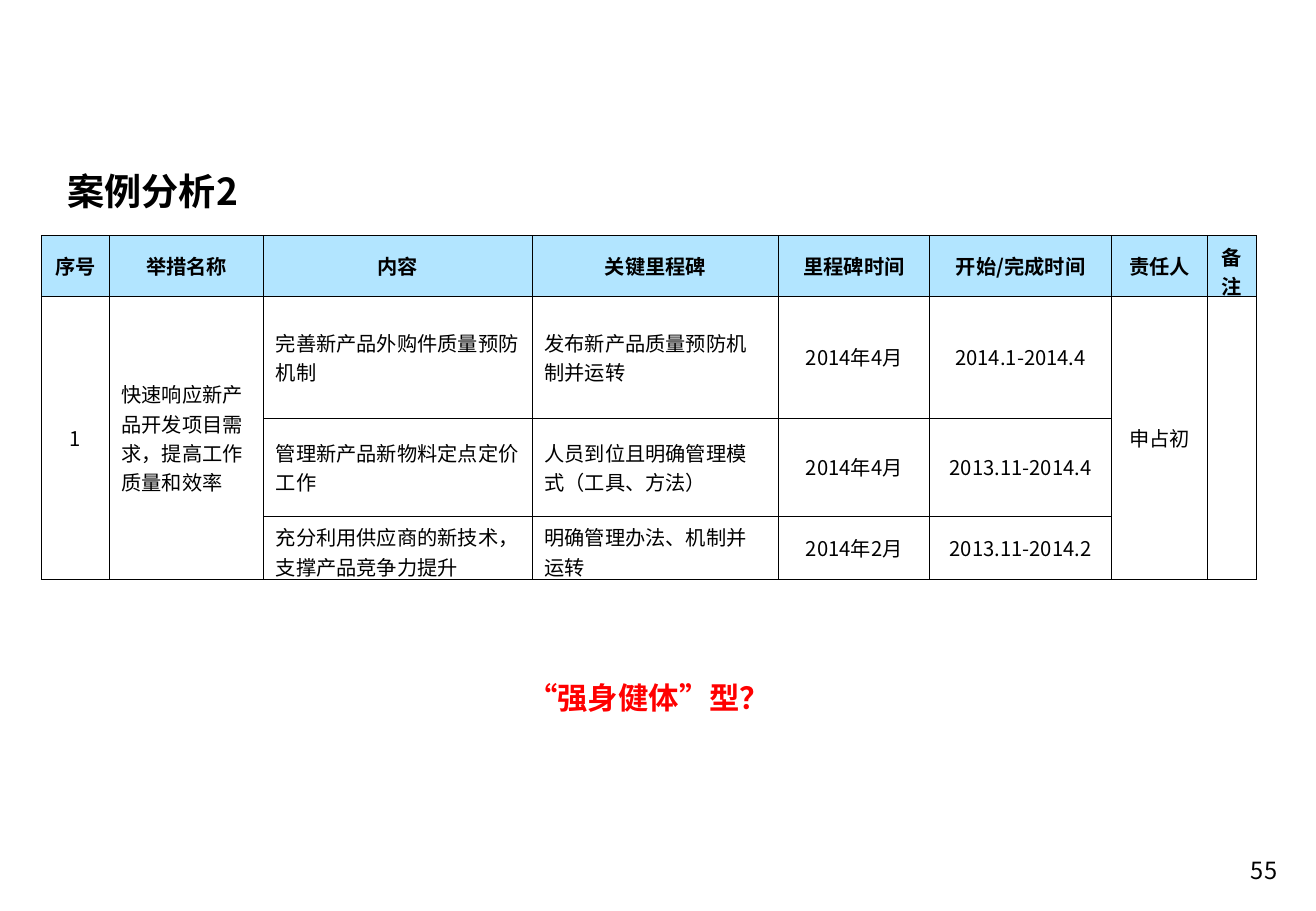
from lxml import etree
from pptx import Presentation, util as u
from pptx.dml.color import RGBColor
from pptx.enum import text
from pptx.oxml.ns import qn

PX = 9144  # EMU in one px, 100 px to the inch
FONT = "Noto Sans CJK SC"
COLORS = {"ink": "000000", "header": "66CCFF", "question": "FF0000"}
LEFT, CENTER, RIGHT = text.PP_ALIGN.LEFT, text.PP_ALIGN.CENTER, text.PP_ALIGN.RIGHT

COLUMN_WIDTHS = [56, 127, 221, 203, 124, 150, 79, 40]
ROW_HEIGHTS = [50, 100, 81, 52]
SPANNING_COLUMNS = (0, 1, 6, 7)  # one cell for all three measures
LEFT_COLUMNS = (1, 2, 3)
PLAN = [
    ["序号", "举措名称", "内容", "关键里程碑", "里程碑时间", "开始/完成时间", "责任人", "备注"],
    ["1", "快速响应新产品开发项目需求，提高工作质量和效率", "完善新产品外购件质量预防机制",
     "发布新产品质量预防机制并运转", "2014年4月", "2014.1-2014.4", "申占初", ""],
    ["", "", "管理新产品新物料定点定价工作", "人员到位且明确管理模式（工具、方法）",
     "2014年4月", "2013.11-2014.4", "", ""],
    ["", "", "充分利用供应商的新技术，支撑产品竞争力提升", "明确管理办法、机制并运转",
     "2014年2月", "2013.11-2014.2", "", ""],
]


def px(*lengths):
    return [u.Emu(length * PX) for length in lengths]


def write(frame, words, size, color="ink", bold=False, align=LEFT):
    paragraph = frame.paragraphs[0]
    paragraph.text = words
    paragraph.alignment = align
    font = paragraph.font
    font.name, font.size, font.bold = FONT, u.Pt(size), bold
    font.color.rgb = RGBColor.from_string(COLORS[color])
    # East Asian glyphs need their own typeface entry
    latin = paragraph._p.pPr.find(qn("a:defRPr")).find(qn("a:latin"))
    east_asian = etree.Element(qn("a:ea"), typeface=FONT)
    latin.addnext(east_asian)
    return paragraph


def add_label(slide, box, words, size, wrap=True, hanging=0, **style):
    frame = slide.shapes.add_textbox(*px(*box)).text_frame
    frame.word_wrap = wrap
    paragraph = write(frame, words, size, **style)
    if hanging:
        paragraph.line_spacing = 1.5
        paragraph._p.pPr.set("marL", str(hanging * PX))
        paragraph._p.pPr.set("indent", str(-hanging * PX))


def set_borders(cell, **points):
    properties = cell._tc.get_or_add_tcPr()
    for index, side in enumerate("LRTB"):
        line = etree.Element(qn(f"a:ln{side}"), w=str(u.Pt(points[side])))
        fill = etree.SubElement(line, qn("a:solidFill"))
        etree.SubElement(fill, qn("a:srgbClr"), val=COLORS["ink"])
        properties.insert(index, line)


def fill_header(cell):
    cell.fill.solid()
    cell.fill.fore_color.rgb = RGBColor.from_string(COLORS["header"])
    shade = cell._tc.tcPr.find(qn("a:solidFill"))[0]
    etree.SubElement(shade, qn("a:alpha"), val="50000")


def add_plan(slide):
    size = len(ROW_HEIGHTS), len(COLUMN_WIDTHS)
    box = px(34, 194, sum(COLUMN_WIDTHS), sum(ROW_HEIGHTS))
    plan = slide.shapes.add_table(*size, *box).table
    plan.first_row = plan.horz_banding = False
    for column, width in zip(plan.columns, px(*COLUMN_WIDTHS)):
        column.width = width
    for row, height in zip(plan.rows, px(*ROW_HEIGHTS)):
        row.height = height

    last = len(PLAN) - 1
    for r, entries in enumerate(PLAN):
        for c, words in enumerate(entries):
            cell = plan.cell(r, c)
            cell.vertical_anchor = text.MSO_ANCHOR.MIDDLE
            if r == 0:
                fill_header(cell)
            else:
                cell.fill.background()
            # Heavier rules close the second and third measures
            end = last if r and c in SPANNING_COLUMNS else r
            set_borders(cell, L=0.5, R=0.5, T=1 if r == last else 0.5,
                        B=1 if c and end >= 2 else 0.5)
            if words:
                align = LEFT if r and c in LEFT_COLUMNS else CENTER
                write(cell.text_frame, words, 12, bold=r == 0, align=align)
    for c in SPANNING_COLUMNS:
        plan.cell(1, c).merge(plan.cell(last, c))


def main():
    deck = Presentation()
    deck.slide_width, deck.slide_height = px(1083, 750)
    slide = deck.slides.add_slide(deck.slide_layouts[6])
    # Title and page number
    add_label(slide, (46, 115, 934, 425), "案例分析2", 22, hanging=50, bold=True)
    add_label(slide, (808, 700, 253, 35), "55", 14, align=RIGHT)
    # Action plan
    add_plan(slide)
    # Closing question
    add_label(slide, (424, 539, 222, 50), "“强身健体”型？", 18, wrap=False,
              hanging=38, color="question", bold=True)
    deck.save("out.pptx")


if __name__ == "__main__":
    main()
